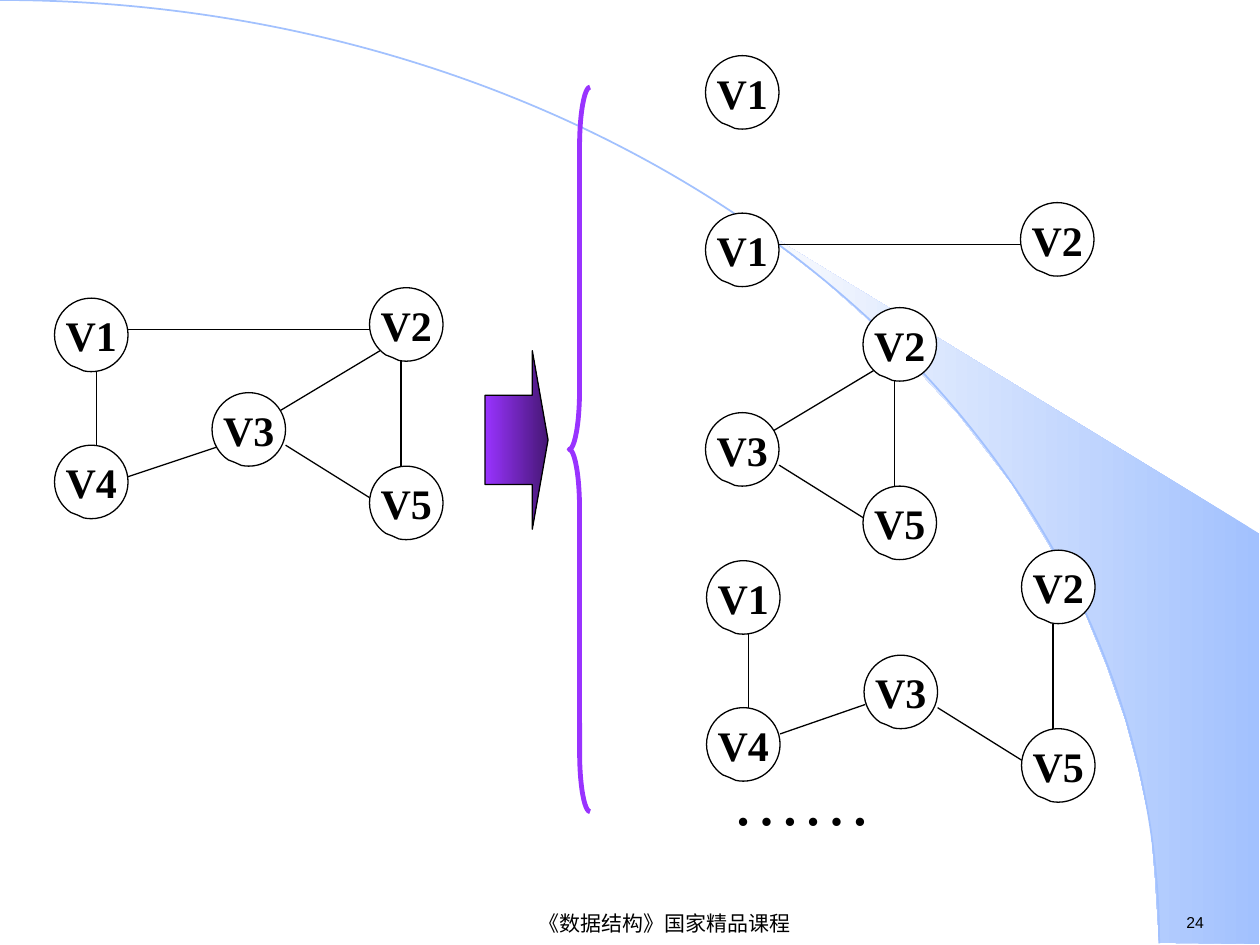
import pptx
import pptx.dml.color
import pptx.enum.shapes
import pptx.enum.text
import pptx.oxml.ns
import pptx.util
from lxml import etree

RGBColor = pptx.dml.color.RGBColor
SHAPE = pptx.enum.shapes.MSO_SHAPE
ANCHOR = pptx.enum.text.MSO_ANCHOR
ALIGN = pptx.enum.text.PP_ALIGN

BLACK = RGBColor(0x00, 0x00, 0x00)
WHITE = RGBColor(0xFF, 0xFF, 0xFF)
OFF_WHITE = RGBColor(0xFE, 0xFE, 0xFE)
SKY = RGBColor(0xA2, 0xC1, 0xFE)
VIOLET = RGBColor(0x99, 0x33, 0xFF)
DARK_VIOLET = RGBColor(0x46, 0x17, 0x75)

# The grid has 120 columns and 90 rows, twelve to the inch
COLUMNS, ROWS = 120, 90
NODE_SIZE = 7

# Vertex and edge places within a graph, in grid units
VERTICES = {"V1": (0, 1), "V2": (30, 0), "V3": (15, 10),
            "V4": (0, 15), "V5": (30, 17)}
EDGES = {
    "V1-V2": (7, 4, 30, 4),
    "V1-V4": (4, 8, 4, 16),
    "V2-V3": (31, 6, 21, 12),
    "V2-V5": (33, 7, 33, 18),
    "V3-V4": (16, 15, 7, 18),
    "V3-V5": (22, 15, 30, 20),
    "V4-V3": (7, 17.5, 15.1, 14.7),
}

# Origin, vertices and edges of the full graph and of its subgraphs
GRAPHS = [
    ((5.2, 27.4), "V1 V2 V3 V4 V5", "V1-V2 V1-V4 V2-V3 V2-V5 V3-V4 V3-V5"),
    ((67.2, 4.3), "V1", ""),
    ((67.2, 19.3), "V1 V2", "V1-V2"),
    ((52.2, 29.3), "V2 V3 V5", "V2-V3 V2-V5 V3-V5"),
    ((67.3, 52.4), "V1 V2 V3 V4 V5", "V1-V4 V4-V3 V3-V5 V2-V5"),
]

SWEEP = [(110.4, 89.8), (119.9, 89.9), (119.9, 50.8), (70.7, 20.8),
         (74.9, 23.9), (78.4, 26.6), (82.2, 30), (85.9, 33.6), (91.4, 39.6),
         (96.4, 46.1), (99.8, 51.7), (103, 57.5), (105.4, 63.4),
         (107.2, 68.6), (108.4, 73.1), (109.6, 78.7), (110, 83.5)]


def grid(*units):
    return [pptx.util.Inches(unit / 12) for unit in units]


def set_line(part, color, width):
    part.line.color.rgb = color
    part.line.width = pptx.util.Pt(width)


def set_gradient(part, right, left):
    part.fill.gradient()
    part.fill.gradient_angle = 180
    for stop, color in zip(part.fill.gradient_stops, (right, left)):
        stop.color.rgb = color


def add_preset(slide, kind, box, adjustments=()):
    part = slide.shapes.add_shape(kind, *grid(*box))
    part.shadow.inherit = False
    for index, value in enumerate(adjustments):
        part.adjustments[index] = value
    return part


def write(part, text, size, font, bold=False, align=ALIGN.LEFT,
          anchor=ANCHOR.TOP, wrap=False):
    frame = part.text_frame
    frame.word_wrap = wrap
    frame.vertical_anchor = anchor
    paragraph = frame.paragraphs[0]
    paragraph.alignment = align
    run = paragraph.add_run()
    run.text = text
    run.font.size = pptx.util.Pt(size)
    run.font.name = font
    run.font.bold = bold
    run.font.color.rgb = BLACK


def add_label(slide, box, text, size, font, **layout):
    write(slide.shapes.add_textbox(*grid(*box)), text, size, font, **layout)


def add_edge(slide, origin, ends):
    x, y = origin
    x1, y1, x2, y2 = ends
    edge = slide.shapes.add_connector(
        pptx.enum.shapes.MSO_CONNECTOR.STRAIGHT,
        *grid(x + x1, y + y1, x + x2, y + y2))
    set_line(edge, BLACK, 0.75)
    etree.SubElement(edge._element.spPr, pptx.oxml.ns.qn("a:effectLst"))


def add_vertex(slide, origin, name):
    column, row = VERTICES[name]
    box = (origin[0] + column, origin[1] + row, NODE_SIZE, NODE_SIZE)
    vertex = add_preset(slide, SHAPE.OVAL_CALLOUT, box, (-0.19, 0.45))
    vertex.fill.solid()
    vertex.fill.fore_color.rgb = WHITE
    set_line(vertex, BLACK, 0.75)
    write(vertex, name, 24, "Times New Roman", bold=True,
          align=ALIGN.CENTER, anchor=ANCHOR.MIDDLE)


def add_graph(slide, origin, vertices, edges):
    for name in edges.split():
        add_edge(slide, origin, EDGES[name])
    for name in vertices.split():
        add_vertex(slide, origin, name)


def add_background(slide):
    # Shaded sweep on the right
    corners = [grid(*corner) for corner in SWEEP]
    builder = slide.shapes.build_freeform(*corners[0], scale=1.0)
    builder.add_line_segments(corners[1:], close=True)
    sweep = builder.convert_to_shape()
    sweep.shadow.inherit = False
    set_gradient(sweep, SKY, OFF_WHITE)
    sweep.line.fill.background()
    # Quarter ellipse centred on the lower left corner
    arc = add_preset(slide, SHAPE.ARC, (-110.4, 0, 220.8, 179.7))
    arc.fill.background()
    set_line(arc, SKY, 1)


def add_arrow_and_brace(slide):
    arrow = add_preset(slide, SHAPE.RIGHT_ARROW, (46.2, 33.4, 6, 17),
                       (0.5, 0.25))
    set_gradient(arrow, DARK_VIOLET, VIOLET)
    set_line(arrow, BLACK, 0.75)
    brace = add_preset(slide, SHAPE.LEFT_BRACE, (54.2, 8.3, 2, 69),
                       (2.85, 0.5))
    brace.fill.background()
    set_line(brace, VIOLET, 2.75)


def main():
    deck = pptx.Presentation()
    deck.slide_width, deck.slide_height = grid(COLUMNS, ROWS)
    slide = deck.slides.add_slide(deck.slide_layouts[6])

    add_background(slide)

    # Footer
    add_label(slide, (111.8, 86.3, 9.2, 3), "24", 9, "Arial")
    add_label(slide, (28.8, 86.5, 69, 2.9), "《数据结构》国家精品课程", 12,
              "Arial", align=ALIGN.CENTER, anchor=ANCHOR.MIDDLE)

    # Graph, its subgraphs and the sign that more follow
    add_label(slide, (68.5, 71.4, 27, 9.2), "……", 40, "Times New Roman",
              wrap=True)
    add_arrow_and_brace(slide)
    for origin, vertices, edges in GRAPHS:
        add_graph(slide, origin, vertices, edges)

    deck.save("out.pptx")


if __name__ == "__main__":
    main()
